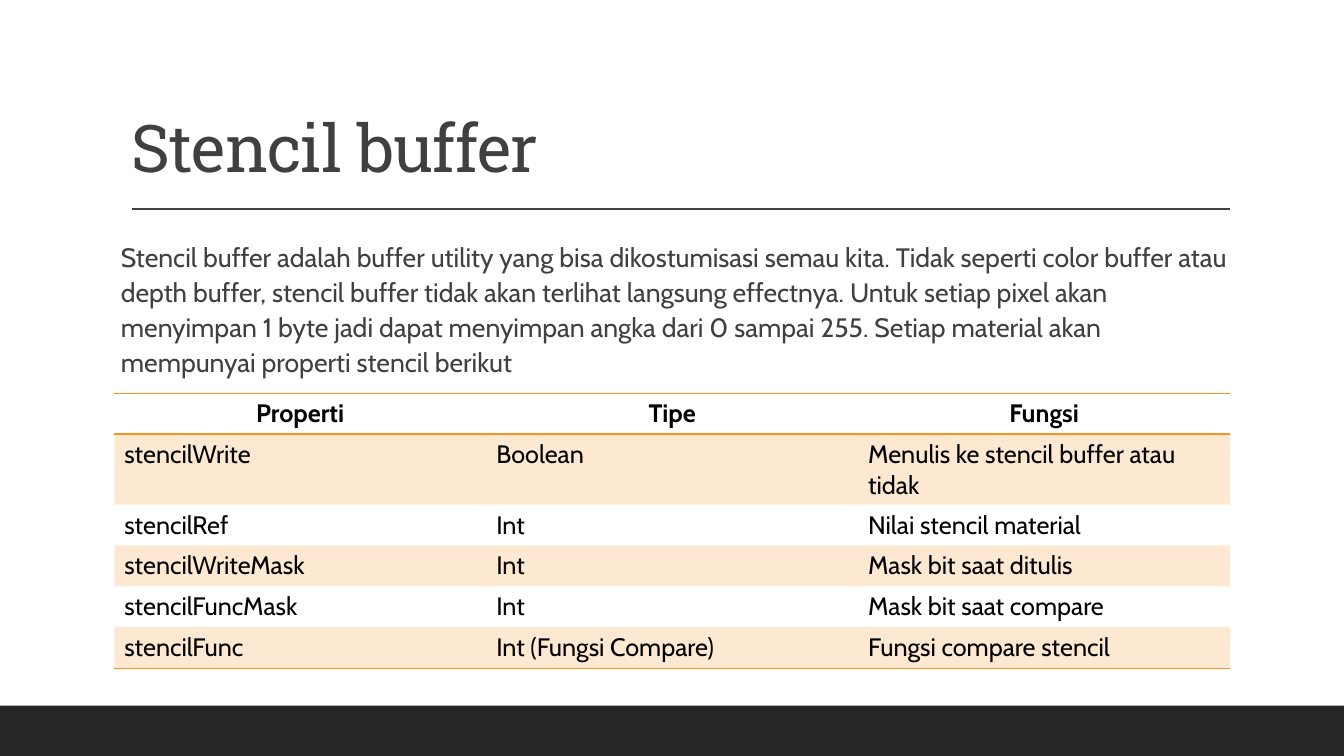
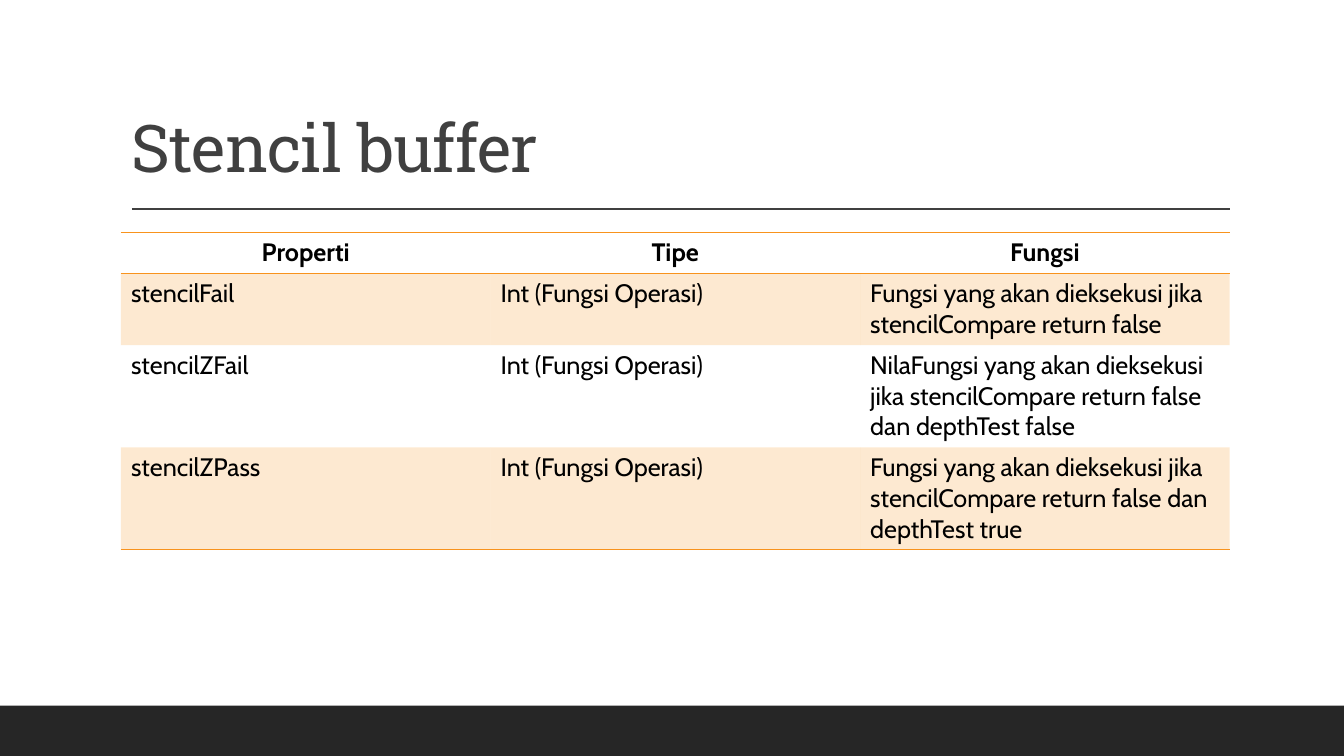
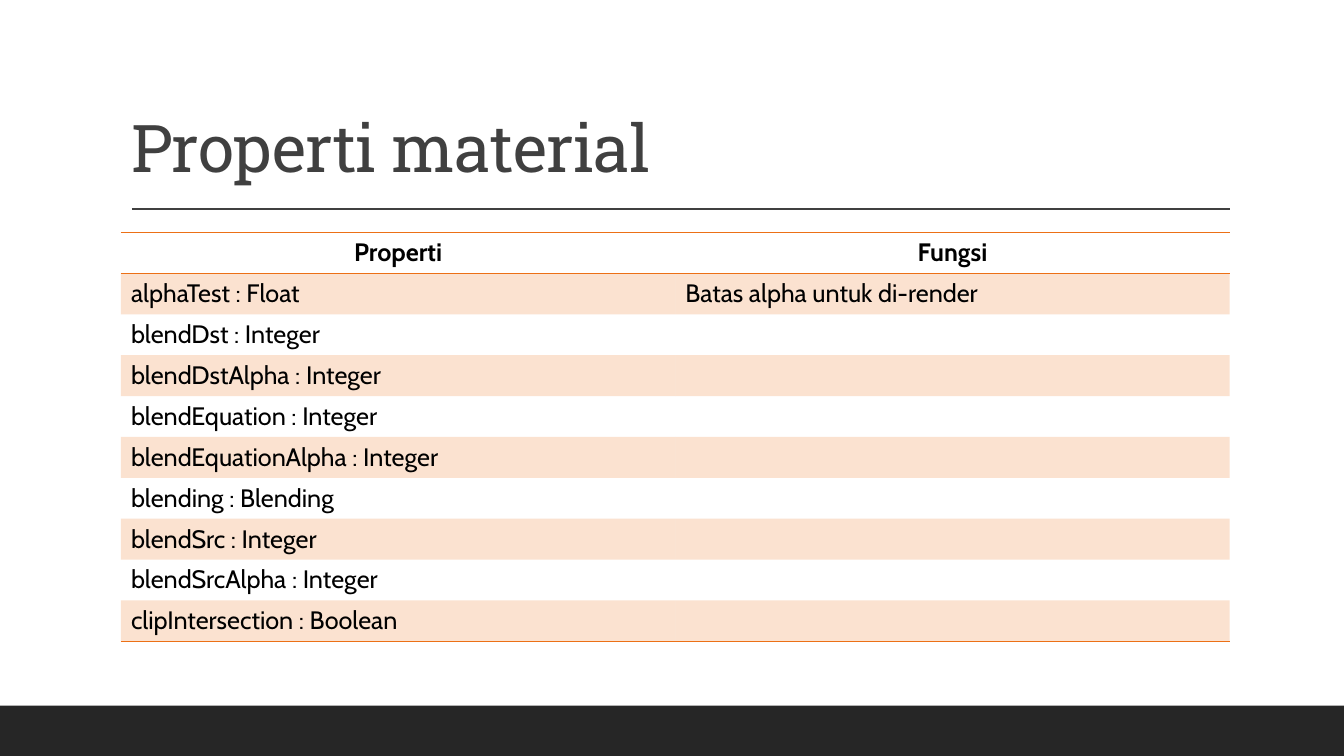
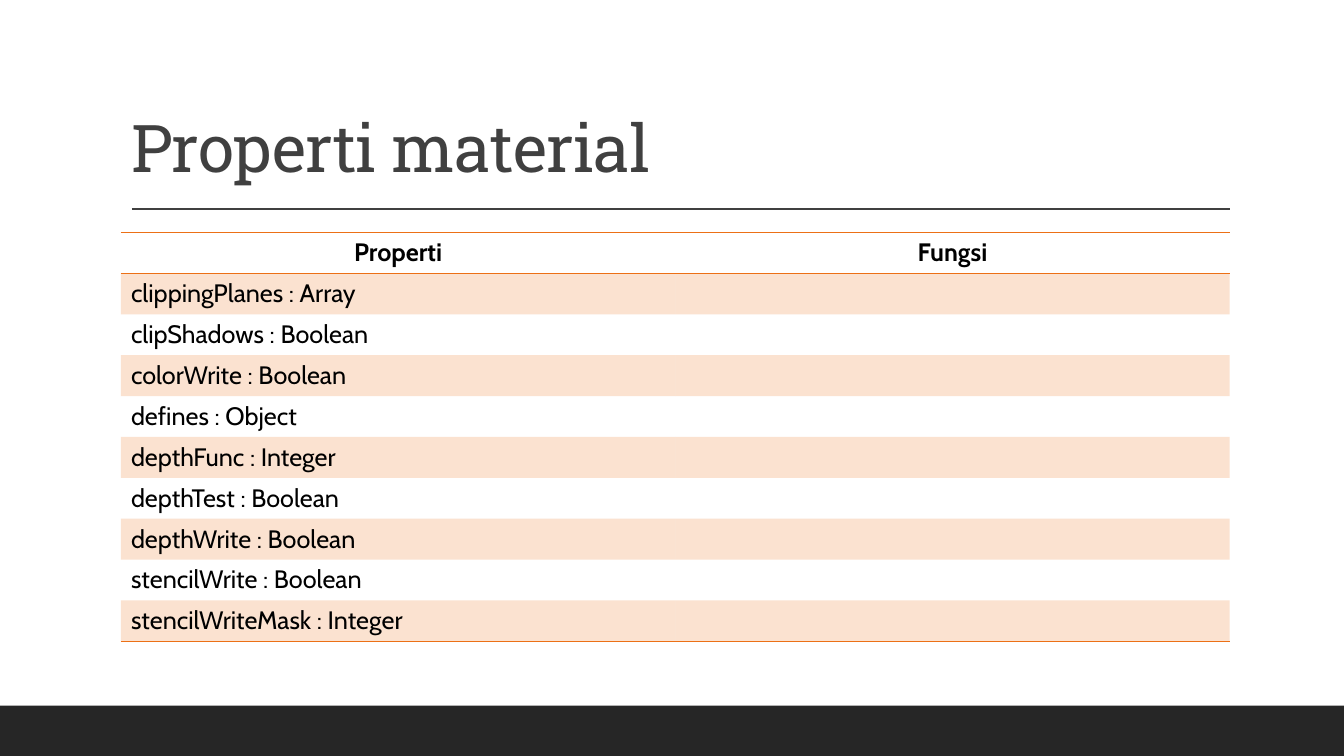
from lxml import etree
from pptx import Presentation
from pptx.dml.color import RGBColor
from pptx.enum.shapes import MSO_CONNECTOR, MSO_SHAPE
from pptx.enum.text import MSO_ANCHOR, MSO_AUTO_SIZE, PP_ALIGN
from pptx.oxml.ns import qn
from pptx.util import Pt

RECTANGLE = MSO_SHAPE.RECTANGLE
STRAIGHT = MSO_CONNECTOR.STRAIGHT
BOTTOM = MSO_ANCHOR.BOTTOM
NO_AUTOFIT = MSO_AUTO_SIZE.NONE
LEFT, CENTER = PP_ALIGN.LEFT, PP_ALIGN.CENTER

CHARCOAL = RGBColor(0x26, 0x26, 0x26)
GRAY = RGBColor(0x40, 0x40, 0x40)
BLACK = RGBColor(0x00, 0x00, 0x00)
AMBER = RGBColor(0xF8, 0x93, 0x1D)
ORANGE = RGBColor(0xEC, 0x70, 0x16)

TITLE_FONT, BODY_FONT = "Roboto Slab", "Cabin"
PLAIN_TABLE_STYLE = "{2D5ABB26-0587-4C30-8999-92F81FD0307C}"
TITLE_ONLY = 5
ROW_HEIGHT = 29.2
BORDER_WIDTH = 1
BAND_OPACITY = 20

# Boxes are left, top, width, height in points; table places leave out the height.
PAGE_WIDTH, PAGE_HEIGHT = 960, 540
FOOTER_HEIGHT = 36
FOOTER_BOX = (0, PAGE_HEIGHT - FOOTER_HEIGHT, PAGE_WIDTH, FOOTER_HEIGHT)
CONTENT_LEFT, CONTENT_TOP, CONTENT_WIDTH = 86.4, 166.1, 792
TITLE_BOX = (CONTENT_LEFT, 22.5, CONTENT_WIDTH, 114.3)
RULE_LEFT, RULE_RIGHT, RULE_TOP = 94.3, 878.8, 149.4
INTRO_BOX = (CONTENT_LEFT, CONTENT_TOP, CONTENT_WIDTH, 296)
TABLE_PLACE = (CONTENT_LEFT, CONTENT_TOP, CONTENT_WIDTH)
LOWER_TABLE_PLACE = (81.6, 280.8, 797)

STENCIL_INTRO = (
    "Stencil buffer adalah buffer utility yang bisa dikostumisasi semau kita. "
    "Tidak seperti color buffer atau depth buffer, stencil buffer tidak akan "
    "terlihat langsung effectnya. Untuk setiap pixel akan menyimpan 1 byte jadi "
    "dapat menyimpan angka dari 0 sampai 255. Setiap material akan mempunyai "
    "properti stencil berikut"
)
STENCIL_HEADER = ("Properti", "Tipe", "Fungsi")
STENCIL_SETTINGS = [
    STENCIL_HEADER,
    ("stencilWrite", "Boolean", "Menulis ke stencil buffer atau tidak"),
    ("stencilRef", "Int", "Nilai stencil material"),
    ("stencilWriteMask", "Int", "Mask bit saat ditulis"),
    ("stencilFuncMask", "Int", "Mask bit saat compare"),
    ("stencilFunc", "Int (Fungsi Compare)", "Fungsi compare stencil"),
]
STENCIL_OPERATIONS = [
    STENCIL_HEADER,
    ("stencilFail", "Int (Fungsi Operasi)",
     "Fungsi yang akan dieksekusi jika stencilCompare return false"),
    ("stencilZFail", "Int (Fungsi Operasi)",
     "NilaFungsi yang akan dieksekusi jika stencilCompare return false "
     "dan depthTest false"),
    ("stencilZPass", "Int (Fungsi Operasi)",
     "Fungsi yang akan dieksekusi jika stencilCompare return false "
     "dan depthTest true"),
]
MATERIAL_HEADER = ("Properti", "Fungsi")
BLEND_PROPERTIES = [
    MATERIAL_HEADER,
    ("alphaTest : Float", "Batas alpha untuk di-render"),
    ("blendDst : Integer", ""),
    ("blendDstAlpha : Integer", ""),
    ("blendEquation : Integer", ""),
    ("blendEquationAlpha : Integer", ""),
    ("blending : Blending", ""),
    ("blendSrc : Integer", ""),
    ("blendSrcAlpha : Integer", ""),
    ("clipIntersection : Boolean", ""),
]
DEPTH_PROPERTIES = [
    MATERIAL_HEADER,
    ("clippingPlanes : Array", ""),
    ("clipShadows : Boolean", ""),
    ("colorWrite : Boolean", ""),
    ("defines : Object", ""),
    ("depthFunc : Integer", ""),
    ("depthTest : Boolean", ""),
    ("depthWrite : Boolean", ""),
    ("stencilWrite : Boolean", ""),
    ("stencilWriteMask : Integer", ""),
]


def points(lengths):
    return [Pt(length) for length in lengths]


def write(frame, text, font=BODY_FONT, size=18, color=BLACK, bold=False, align=LEFT,
          line_spacing=1.0, before=0, after=0, tracking=0):
    """Set the frame's text; tracking is the letter spacing in points."""
    para = frame.paragraphs[0]
    para.alignment = align
    para.line_spacing = line_spacing
    para.space_before, para.space_after = Pt(before), Pt(after)
    span = para.add_run()
    span.text = text
    span.font.name, span.font.size = font, Pt(size)
    span.font.bold = bold
    span.font.color.rgb = color
    if tracking:
        span._r.get_or_add_rPr().set("spc", str(round(tracking * 100)))


def add_footer_band(page):
    band = page.shapes.add_shape(RECTANGLE, *points(FOOTER_BOX))
    band.shadow.inherit = False
    band.fill.solid()
    band.fill.fore_color.rgb = CHARCOAL
    band.line.fill.background()


def add_title_rule(page):
    ends = points((RULE_LEFT, RULE_TOP, RULE_RIGHT, RULE_TOP))
    rule = page.shapes.add_connector(STRAIGHT, *ends)
    rule.line.color.rgb = GRAY
    rule.line.width = Pt(1)
    etree.SubElement(rule.element.find(qn("p:spPr")), qn("a:effectLst"))


def add_title(page, text):
    title = page.shapes.title
    title.left, title.top, title.width, title.height = points(TITLE_BOX)
    frame = title.text_frame
    frame.auto_size = NO_AUTOFIT
    frame.vertical_anchor = BOTTOM
    write(frame, text, font=TITLE_FONT, size=47, color=GRAY,
          line_spacing=0.9, tracking=-0.5)


def add_intro(page, box, text):
    frame = page.shapes.add_textbox(*points(box)).text_frame
    frame.word_wrap = True
    frame.margin_left = frame.margin_right = 0
    write(frame, text, size=19, color=GRAY, line_spacing=1.1, before=12, after=2)


def add_border(cell, side, color):
    """Draw one cell border; the schema wants top before bottom, and both before the fill."""
    properties = cell._tc.get_or_add_tcPr()
    border = etree.SubElement(properties, qn(f"a:{side}"), w=str(Pt(BORDER_WIDTH)))
    fill = etree.SubElement(border, qn("a:solidFill"))
    etree.SubElement(fill, qn("a:srgbClr"), val=str(color))


def tint(cell, color):
    """Fill the cell with a see-through colour."""
    cell.fill.solid()
    cell.fill.fore_color.rgb = color
    shade = cell._tc.tcPr.find(f"{qn('a:solidFill')}/{qn('a:srgbClr')}")
    etree.SubElement(shade, qn("a:alpha"), val=str(BAND_OPACITY * 1000))


def format_cell(cell, text, accent, is_header, is_last, is_banded):
    if text:
        write(cell.text_frame, text, bold=is_header, align=CENTER if is_header else LEFT)
    if is_header:
        add_border(cell, "lnT", accent)
    if is_header or is_last:
        add_border(cell, "lnB", accent)
    if is_banded:
        tint(cell, accent)
    else:
        cell.fill.background()


def add_property_table(page, place, rows, accent):
    left, top, width = place
    row_count, column_count = len(rows), len(rows[0])
    box = points((left, top, width, ROW_HEIGHT * row_count))
    graphic = page.shapes.add_table(row_count, column_count, *box)
    graphic.element.find(f".//{qn('a:tableStyleId')}").text = PLAIN_TABLE_STYLE
    table = graphic.table
    for column in table.columns:
        column.width = Pt(width / column_count)
    for index, (row, texts) in enumerate(zip(table.rows, rows)):
        row.height = Pt(ROW_HEIGHT)
        for cell, text in zip(row.cells, texts):
            format_cell(cell, text, accent, is_header=index == 0,
                        is_last=index == row_count - 1, is_banded=index % 2 == 1)


def add_property_page(deck, title, rows, accent, place=TABLE_PLACE, intro=""):
    page = deck.slides.add_slide(deck.slide_layouts[TITLE_ONLY])
    add_footer_band(page)
    add_title_rule(page)
    add_title(page, title)
    if intro:
        add_intro(page, INTRO_BOX, intro)
    add_property_table(page, place, rows, accent)


def main():
    deck = Presentation()
    deck.slide_width, deck.slide_height = Pt(PAGE_WIDTH), Pt(PAGE_HEIGHT)
    add_property_page(deck, "Stencil buffer", STENCIL_SETTINGS, AMBER,
                      place=LOWER_TABLE_PLACE, intro=STENCIL_INTRO)
    add_property_page(deck, "Stencil buffer", STENCIL_OPERATIONS, AMBER)
    for rows in (BLEND_PROPERTIES, DEPTH_PROPERTIES):
        add_property_page(deck, "Properti material", rows, ORANGE)
    deck.save("out.pptx")


if __name__ == "__main__":
    main()
